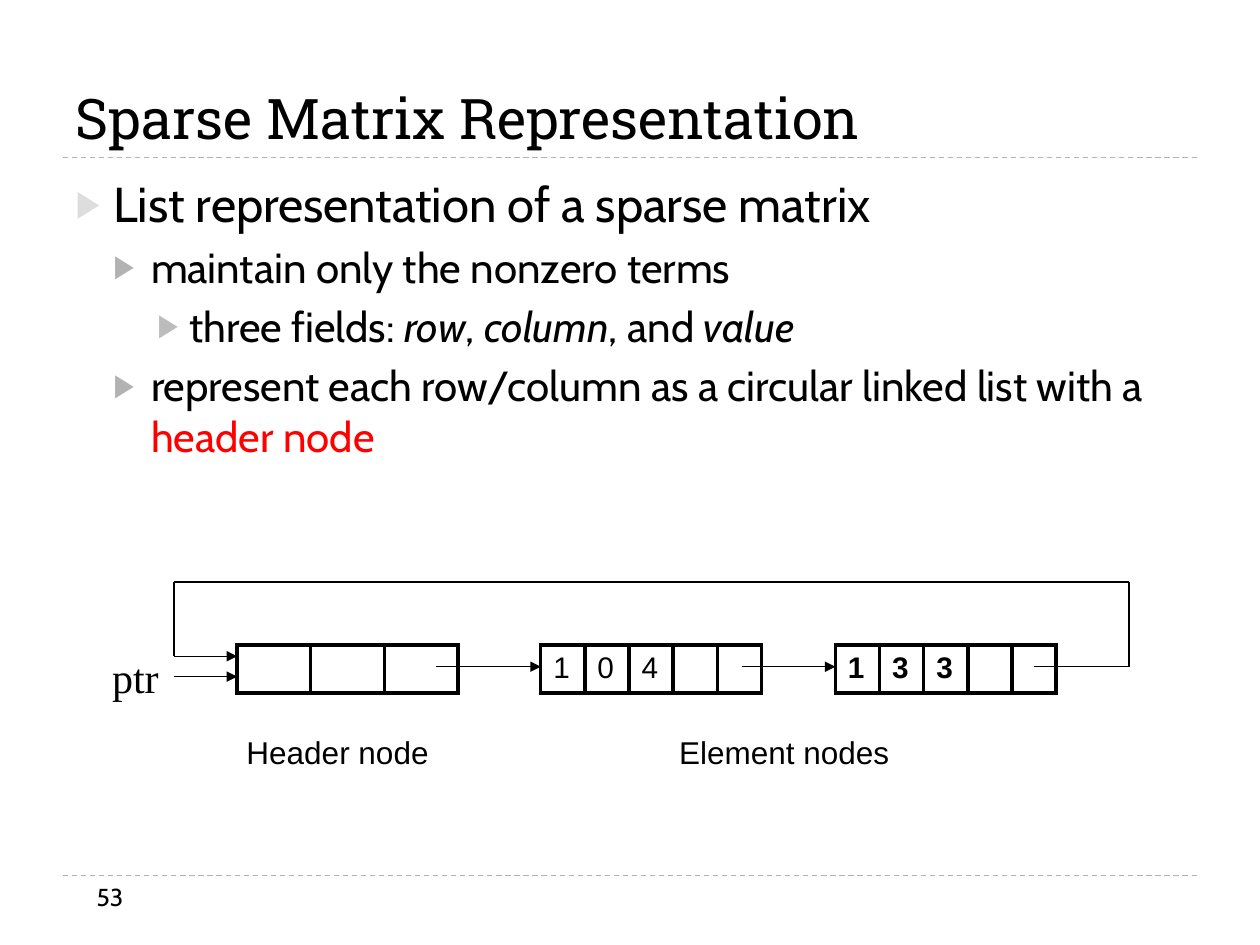
"""Build the slide on the linked-list representation of a sparse matrix."""
from dataclasses import dataclass
from itertools import pairwise
from typing import NamedTuple

from lxml import etree
from pptx import Presentation
from pptx.dml.color import RGBColor
from pptx.enum import dml, shapes, text
from pptx.oxml.ns import qn
from pptx.util import Cm, Pt


@dataclass(frozen=True)
class Theme:
    ink: str = "000000"
    accent: str = "FF0000"
    rule: str = "B2B2B2"
    bullets: tuple = ("DDDDDD", "B2B2B2", "BCBCBC")
    heading: str = "Roboto Slab"
    body: str = "Cabin"
    diagram: str = "Arial"
    pointer: str = "Times New Roman"
    title_size: float = 32
    body_sizes: tuple = (28, 24, 24)
    pointer_size: float = 24
    label_size: float = 18
    cell_size: float = 17
    number_size: float = 14
    thin: float = 0.75
    thick: float = 2.25


class Span(NamedTuple):
    text: str
    italic: bool = False
    color: str = Theme.ink


class Item(NamedTuple):
    level: int
    spans: list


class Node(NamedTuple):
    left: float
    values: list
    bold: bool = False


class Label(NamedTuple):
    text: str
    area: tuple
    font: str
    size: float
    wrap: bool = True
    anchor: text.MSO_ANCHOR = text.MSO_ANCHOR.TOP


class Route(NamedTuple):
    points: list
    arrow: bool = True


THEME = Theme()
INDENTS = ((0.76, 0.76), (1.52, 0.76), (2.29, 0.64))
NODE_TOP, NODE_WIDTH, NODE_HEIGHT = 13, 4.45, 0.97
LINK_Y, POINTER_Y, RETURN_Y, LOOP_TOP = 13.44, 13.64, 13.23, 11.73
LOOP_LEFT, LOOP_RIGHT = 3.51, 22.76
RULE_LEFT, RULE_RIGHT = 1.27, 24.13
RULE_HEIGHTS = (17.65, 3.18)

ITEMS = [
    Item(0, [Span("List representation of a sparse matrix")]),
    Item(1, [Span("maintain only the nonzero terms")]),
    Item(2, [Span("three fields: "), Span("row", italic=True), Span(", "),
             Span("column", italic=True), Span(", and "), Span("value", italic=True)]),
    Item(1, [Span("represent each row/column as a circular linked list with a "),
             Span("header node", color=THEME.accent)]),
]
HEADER = Node(4.78, [""] * 3)
FIRST = Node(10.9, ["1", "0", "4", "", ""])
SECOND = Node(16.84, ["1", "3", "3", "", ""], bold=True)
ROUTES = [
    Route([(8.79, LINK_Y), (FIRST.left, LINK_Y)]),
    Route([(14.96, LINK_Y), (SECOND.left, LINK_Y)]),
    Route([(20.85, LINK_Y), (LOOP_RIGHT, LINK_Y), (LOOP_RIGHT, LOOP_TOP),
           (LOOP_LEFT, LOOP_TOP), (LOOP_LEFT, RETURN_Y), (HEADER.left, RETURN_Y)]),
    Route([(LOOP_LEFT, POINTER_Y), (HEADER.left, POINTER_Y)]),
]
LABELS = [
    Label("ptr", (2.01, 13, 1.47, 1.27), THEME.pointer, THEME.pointer_size,
          anchor=text.MSO_ANCHOR.BOTTOM),
    Label("Header node", (4.72, 14.66, 4.22, 1.02), THEME.diagram, THEME.label_size, wrap=False),
    Label("Element nodes", (13.44, 14.66, 4.8, 1.02), THEME.diagram, THEME.label_size, wrap=False),
    Label("53", (1.7, 17.65, 5.51, 1.02), THEME.body, THEME.number_size),
]


def add_span(para, content: str, *, font: str, size: float, color: str = THEME.ink,
             bold: bool = False, italic: bool = False) -> None:
    """Append formatted text to a paragraph."""
    span = para.add_run()
    span.text = content
    span.font.name, span.font.size = font, Pt(size)
    span.font.bold, span.font.italic = bold, italic
    span.font.color.rgb = RGBColor.from_string(color)


def place(box, area: tuple) -> None:
    """Move and size a shape in centimetres."""
    box.left, box.top, box.width, box.height = (Cm(length) for length in area)


def fill_title(box) -> None:
    """Write the heading in the title placeholder."""
    place(box, (1.27, 0.43, 22.86, 2.74))
    frame = box.text_frame
    frame.auto_size = text.MSO_AUTO_SIZE.NONE
    frame.vertical_anchor = text.MSO_ANCHOR.BOTTOM
    para = frame.paragraphs[0]
    para.alignment = text.PP_ALIGN.LEFT
    add_span(para, "Sparse Matrix Representation", font=THEME.heading, size=THEME.title_size)


def format_bullet(para, level: int) -> None:
    """Give a paragraph its level, indent and triangle bullet."""
    para.level = level
    para.space_before = Pt(5 if level else 6)
    margin, hanging = INDENTS[level]
    props = para._p.get_or_add_pPr()
    props.set("marL", str(Cm(margin)))
    props.set("indent", str(-Cm(hanging)))
    color = etree.SubElement(props, qn("a:buClr"))
    etree.SubElement(color, qn("a:srgbClr"), val=THEME.bullets[level])
    etree.SubElement(props, qn("a:buSzPct"), val="76000")
    etree.SubElement(props, qn("a:buChar"), char="▶")


def fill_body(box, items: list[Item]) -> None:
    """Write the bulleted list in the body placeholder."""
    place(box, (1.27, 3.38, 22.86, 6.96))
    frame = box.text_frame
    frame.auto_size = text.MSO_AUTO_SIZE.NONE
    for index, item in enumerate(items):
        para = frame.add_paragraph() if index else frame.paragraphs[0]
        format_bullet(para, item.level)
        for span in item.spans:
            add_span(para, span.text, font=THEME.body, size=THEME.body_sizes[item.level],
                     italic=span.italic, color=span.color)


def draw_line(page, start: tuple, end: tuple, *, color: str = THEME.ink,
              dashed: bool = False, arrow: bool = False) -> None:
    """Draw a thin straight line, dashed or with an arrowhead if asked."""
    ends = (Cm(length) for length in (*start, *end))
    line = page.shapes.add_connector(shapes.MSO_CONNECTOR.STRAIGHT, *ends)
    line.line.color.rgb = RGBColor.from_string(color)
    line.line.width = Pt(THEME.thin)
    if dashed:
        line.line.dash_style = dml.MSO_LINE.DASH
    props = line.element.spPr
    if arrow:
        etree.SubElement(props.find(qn("a:ln")), qn("a:tailEnd"), type="triangle")
    etree.SubElement(props, qn("a:effectLst"))


def draw_route(page, route: Route) -> None:
    """Draw a chain of lines, the last of which may carry the arrowhead."""
    for start, end in pairwise(route.points):
        draw_line(page, start, end, arrow=route.arrow and end == route.points[-1])


def border_cell(cell) -> None:
    """Outline a cell and leave it unfilled."""
    props = cell._tc.get_or_add_tcPr()
    for side in ("lnL", "lnR", "lnT", "lnB"):
        line = etree.SubElement(props, qn(f"a:{side}"), w=str(Pt(THEME.thick)))
        fill = etree.SubElement(line, qn("a:solidFill"))
        etree.SubElement(fill, qn("a:srgbClr"), val=THEME.ink)
    cell.fill.background()


def draw_node(page, node: Node) -> None:
    """Draw a list node as a one-row table of its fields."""
    area = (Cm(length) for length in (node.left, NODE_TOP, NODE_WIDTH, NODE_HEIGHT))
    table = page.shapes.add_table(1, len(node.values), *area).table
    table.first_row = table.horz_banding = False
    for cell, value in zip(table.rows[0].cells, node.values):
        border_cell(cell)
        cell.margin_top = cell.margin_bottom = Cm(0.13 if value else 0)
        if value:
            add_span(cell.text_frame.paragraphs[0], value, font=THEME.diagram,
                     size=THEME.cell_size, bold=node.bold)


def draw_label(page, label: Label) -> None:
    """Draw a caption in a text box."""
    frame = page.shapes.add_textbox(*(Cm(length) for length in label.area)).text_frame
    frame.word_wrap = label.wrap
    frame.vertical_anchor = label.anchor
    add_span(frame.paragraphs[0], label.text, font=label.font, size=label.size)


def main() -> None:
    """Build and save the deck."""
    deck = Presentation()
    deck.slide_width, deck.slide_height = Cm(25.4), Cm(19.05)
    page = deck.slides.add_slide(deck.slide_layouts[1])
    for height in RULE_HEIGHTS:
        draw_line(page, (RULE_LEFT, height), (RULE_RIGHT, height), color=THEME.rule, dashed=True)
    fill_title(page.shapes.title)
    fill_body(page.placeholders[1], ITEMS)
    for route in ROUTES:
        draw_route(page, route)
    for node in (HEADER, FIRST, SECOND):
        draw_node(page, node)
    for label in LABELS:
        draw_label(page, label)
    deck.save("out.pptx")


if __name__ == "__main__":
    main()
